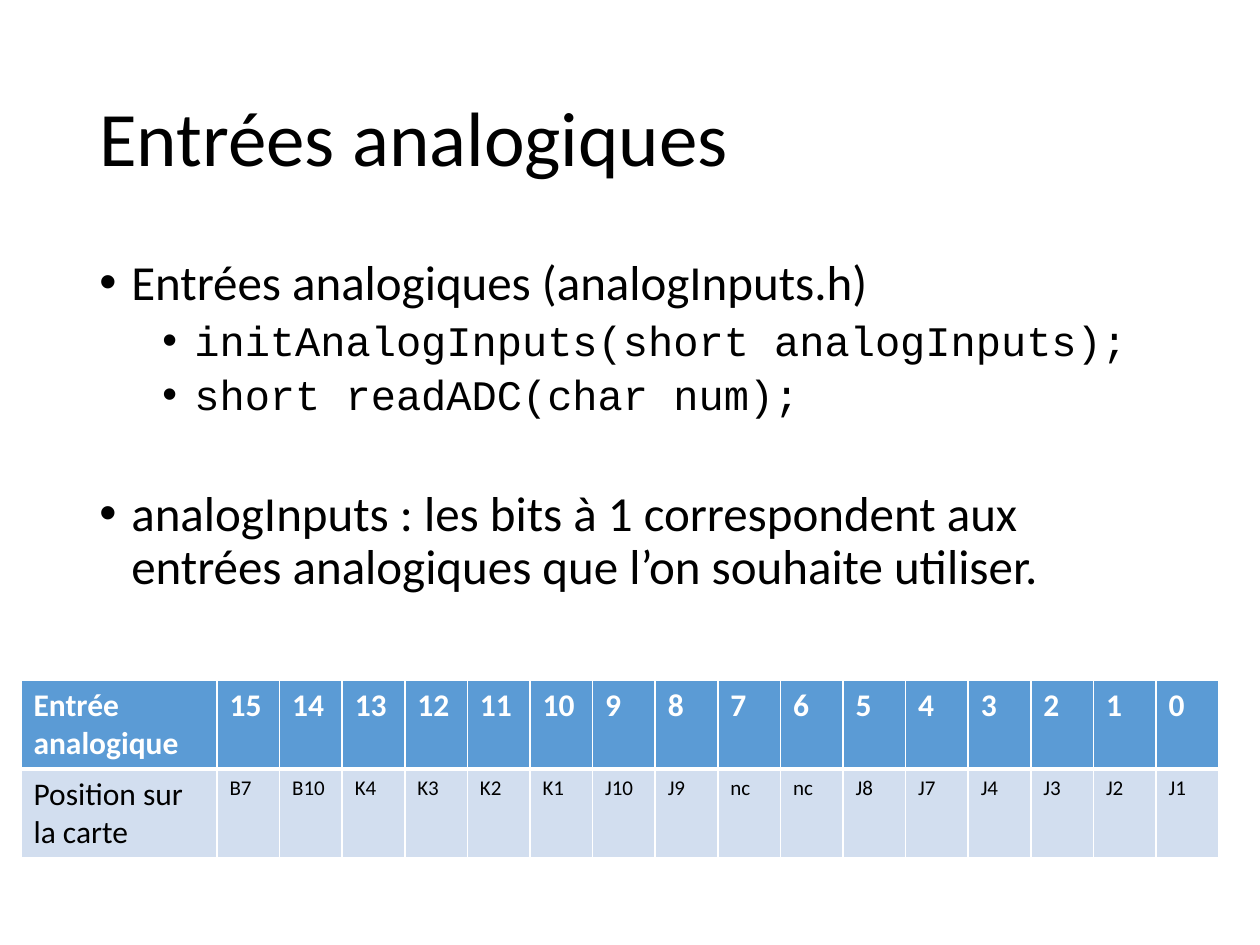
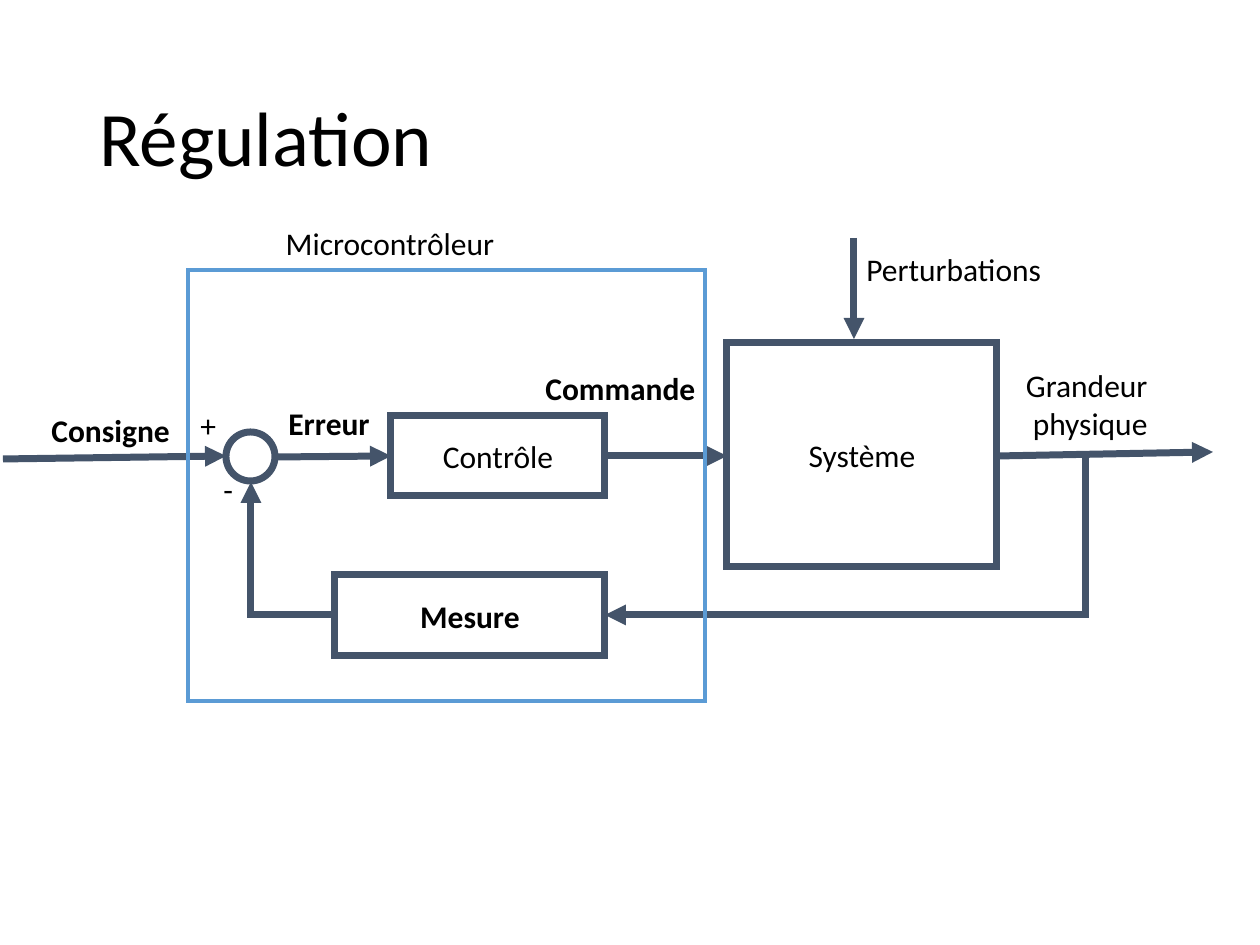
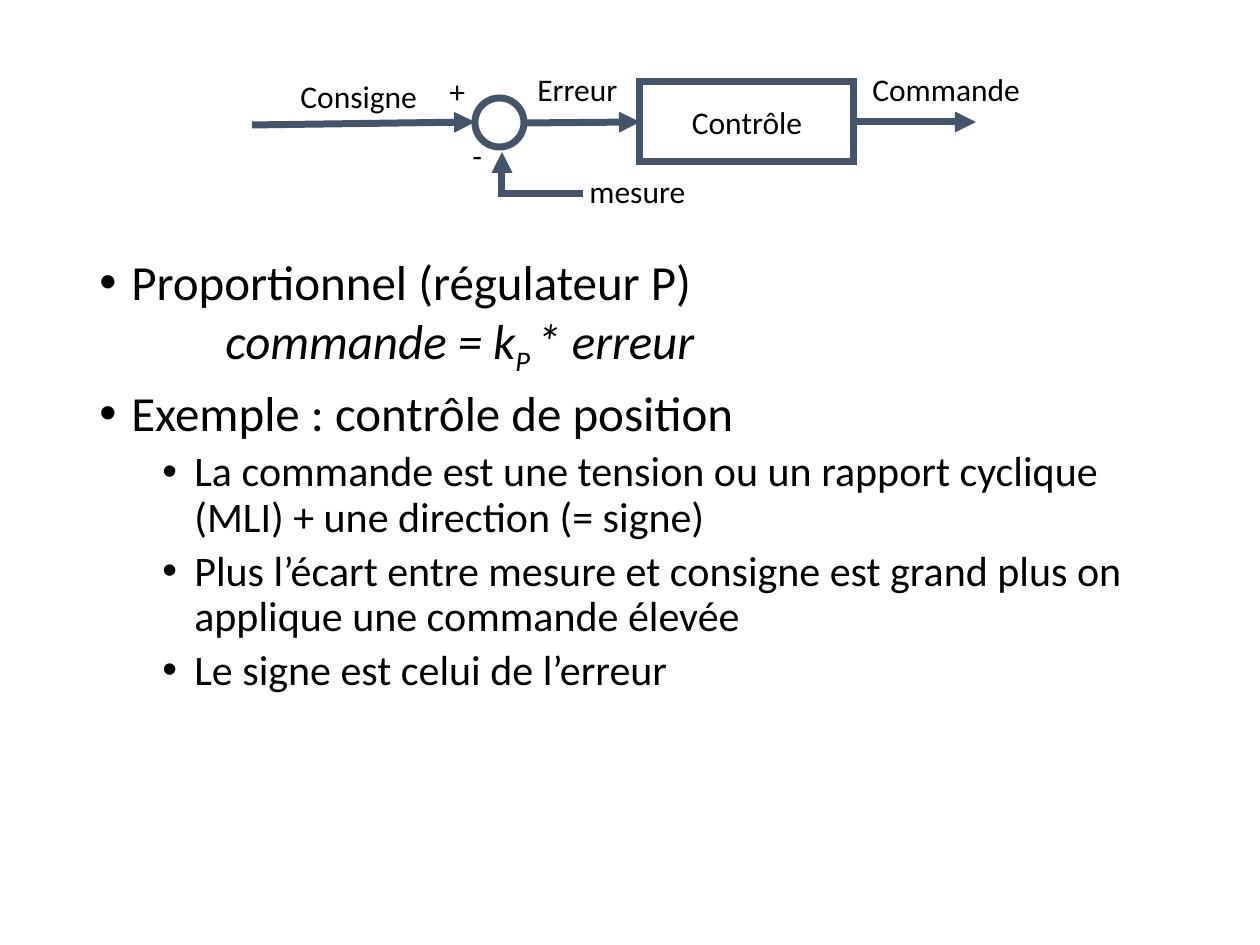
import pptx
import pptx.dml.color
import pptx.enum.shapes
import pptx.enum.text
import pptx.oxml
import pptx.oxml.ns
import pptx.util

EMU_PER_PX = 914400 / 126
BLACK, WHITE, SLATE, BLUE, PALE_BLUE = "000000", "FFFFFF", "44546A", "5B9BD5", "D2DEEF"
SANS, MONO = "Calibri", "Courier New"
TITLE_BOX = (87, 50, 1086, 183)
BODY_BOX = (87, 252, 1086, 600)
LABEL_HEIGHT = 50
TAB_WIDTH = 126
# Per outline level: hanging indent position, text size, space before
LEVELS = [(32, 28, 10), (95, 24, 5)]
BULLET_HANG = 32

ALIGN = pptx.enum.text.PP_ALIGN
ANCHOR = pptx.enum.text.MSO_ANCHOR
SHAPES = pptx.enum.shapes.MSO_SHAPE
CONNECTORS = pptx.enum.shapes.MSO_CONNECTOR


def px(length):
    return pptx.util.Emu(round(length * EMU_PER_PX))


def box_emu(box):
    return [px(length) for length in box]


def color(hex_string):
    return pptx.dml.color.RGBColor.from_string(hex_string)


def add_xml(parent, tag, **attributes):
    element = pptx.oxml.parse_xml(f"<a:{tag} {pptx.oxml.ns.nsdecls('a')}/>")
    for name, value in attributes.items():
        element.set(name, str(value))
    parent.append(element)
    return element


def style(paragraph, size, hex_string=BLACK, bold=False, name=SANS):
    font = paragraph.font
    font.name, font.size, font.bold = name, pptx.util.Pt(size), bold
    font.color.rgb = color(hex_string)


# Text parts
def add_title(slide, text):
    frame = slide.shapes.add_textbox(*box_emu(TITLE_BOX)).text_frame
    frame.word_wrap = True
    frame.vertical_anchor = ANCHOR.MIDDLE
    paragraph = frame.paragraphs[0]
    paragraph.text = text
    paragraph.line_spacing = 0.9
    style(paragraph, 44)


def add_label(slide, text, left, top, width, bold=False, align=ALIGN.LEFT, lines=1):
    box = (left, top, width, LABEL_HEIGHT + 40 * (lines - 1))
    frame = slide.shapes.add_textbox(*box_emu(box)).text_frame
    frame.word_wrap = False
    frame.auto_size = pptx.enum.text.MSO_AUTO_SIZE.SHAPE_TO_FIT_TEXT
    paragraph = frame.paragraphs[0]
    paragraph.text = text
    paragraph.alignment = align
    style(paragraph, 18, bold=bold)


def add_bullet(frame, text, level=0, name=SANS, space_before=None):
    first = frame.paragraphs[0]
    paragraph = frame.add_paragraph() if first.runs else first
    margin, size, default_space = LEVELS[level]
    paragraph.add_run().text = text
    paragraph.level = level
    paragraph.line_spacing = 0.9
    paragraph.space_before = pptx.util.Pt(space_before or default_space)
    properties = paragraph._p.get_or_add_pPr()
    properties.set("marL", str(px(margin)))
    properties.set("indent", str(-px(BULLET_HANG)))
    properties.set("defTabSz", str(px(TAB_WIDTH)))
    add_xml(properties, "buFont", typeface="Arial")
    add_xml(properties, "buChar", char="•")
    style(paragraph, size, name=name)
    return paragraph


def add_body(slide):
    frame = slide.shapes.add_textbox(*box_emu(BODY_BOX)).text_frame
    frame.word_wrap = True
    return frame


# Diagram parts
def draw_line(line, hex_string, width):
    line.color.rgb = color(hex_string)
    line.width = pptx.util.Pt(width)
    properties = line._get_or_add_ln()
    add_xml(properties, "miter", lim=800000)
    return properties


def add_block(slide, box, text="", bold=False, kind=SHAPES.RECTANGLE, line=SLATE, width=4):
    shape = slide.shapes.add_shape(kind, *box_emu(box))
    shape.shadow.inherit = False
    shape.fill.background()
    draw_line(shape.line, line, width)
    if text:
        frame = shape.text_frame
        frame.vertical_anchor = ANCHOR.MIDDLE
        paragraph = frame.paragraphs[0]
        paragraph.text = text
        paragraph.alignment = ALIGN.CENTER
        style(paragraph, 18, bold=bold)


def add_arrow(slide, start, end, bent=False, arrow_at="tailEnd"):
    """A bent arrow leaves its start horizontally and turns once."""
    kind = CONNECTORS.ELBOW if bent else CONNECTORS.STRAIGHT
    connector = slide.shapes.add_connector(kind, *box_emu(start + end))
    add_xml(draw_line(connector.line, SLATE, 4), arrow_at, type="triangle")
    properties = connector._element.spPr
    if bent:
        properties.find(pptx.oxml.ns.qn("a:prstGeom")).set("prst", "bentConnector2")
    add_xml(properties, "effectLst")


def add_control_chain(slide, left, top, command_label, bold=False):
    """Setpoint, comparator and controller; top is the top of the controller."""
    def at(x, y):
        return left + x, top + y

    add_arrow(slide, at(0, 44), at(223, 41))
    add_block(slide, (*at(223, 17), 49, 49), kind=SHAPES.OVAL)
    add_arrow(slide, at(272, 42), at(388, 41))
    add_block(slide, (*at(388, 0), 214, 81), "Contrôle")
    add_arrow(slide, at(602, 41), at(724, 41))
    add_label(slide, "Consigne", *at(36, -10), 144, bold)
    add_label(slide, "+", *at(185, -15), 42)
    add_label(slide, "-", *at(208, 49), 35)
    add_label(slide, "Erreur", *at(273, -17), 112, bold)
    add_label(slide, "Commande", *at(*command_label), 176, bold)


# Table of inputs
def add_borders(cell, bottom):
    properties = cell._tc.get_or_add_tcPr()
    widths = {"lnL": 1, "lnR": 1, "lnT": 1, "lnB": bottom}
    for index, (side, points) in enumerate(widths.items()):
        line = add_xml(properties, side, w=pptx.util.Pt(points))
        add_xml(add_xml(line, "solidFill"), "srgbClr", val=WHITE)
        properties.insert(index, line)


def add_input_table(slide, box, positions):
    inputs = [str(number) for number in reversed(range(len(positions)))]
    rows = [["Entrée analogique"] + inputs, ["Position sur la carte"] + positions]
    heading_width = 196
    table = slide.shapes.add_table(len(rows), len(rows[0]), *box_emu(box)).table
    input_width = (box[2] - heading_width) / len(positions)
    for index, column in enumerate(table.columns):
        column.width = px(input_width if index else heading_width)
    for row_index, row in enumerate(rows):
        is_header = row_index == 0
        for column_index, text in enumerate(row):
            cell = table.cell(row_index, column_index)
            cell.text = text
            cell.fill.solid()
            cell.fill.fore_color.rgb = color(BLUE if is_header else PALE_BLUE)
            size = 18 if is_header or column_index == 0 else 12
            style(cell.text_frame.paragraphs[0], size, WHITE if is_header else BLACK, is_header)
            add_borders(cell, 3 if is_header else 1)


# Slides
def build_inputs_slide(slide):
    add_title(slide, "Entrées analogiques")
    body = add_body(slide)
    add_bullet(body, "Entrées analogiques (analogInputs.h)")
    add_bullet(body, "initAnalogInputs(short analogInputs);", 1, MONO)
    add_bullet(body, "short readADC(char num);", 1, MONO)
    add_bullet(body, "analogInputs : les bits à 1 correspondent aux entrées analogiques "
                     "que l’on souhaite utiliser.", space_before=40)
    positions = "B7 B10 K4 K3 K2 K1 J10 J9 nc nc J8 J7 J4 J3 J2 J1".split()
    add_input_table(slide, (21, 680, 1198, 178), positions)


def build_regulation_slide(slide):
    add_title(slide, "Régulation")
    # System with its disturbance and output
    add_block(slide, (727, 343, 270, 224), "Système")
    add_arrow(slide, (854, 238), (854, 339))
    add_label(slide, "Perturbations", 854, 244, 202)
    add_arrow(slide, (997, 456), (1213, 452))
    add_label(slide, "Grandeur\vphysique", 1011, 360, 149, align=ALIGN.RIGHT, lines=2)
    # Measurement feedback
    add_block(slide, (335, 575, 270, 81), "Mesure", bold=True)
    add_arrow(slide, (605, 615), (1086, 453), bent=True, arrow_at="headEnd")
    add_arrow(slide, (335, 615), (251, 482), bent=True)
    # Microcontroller and the chain inside it
    add_control_chain(slide, 3, 415, command_label=(530, -52), bold=True)
    add_label(slide, "Microcontrôleur", 272, 218, 236, align=ALIGN.CENTER)
    add_block(slide, (188, 270, 517, 431), line=BLUE, width=2)


def build_proportional_slide(slide):
    add_control_chain(slide, 252, 81, command_label=(608, -17))
    add_arrow(slide, (583, 194), (502, 152), bent=True)
    add_label(slide, "mesure", 577, 166, 122)
    body = add_body(slide)
    formula = add_bullet(body, "Proportionnel (régulateur P)")
    formula.add_line_break()
    for text, baseline in [("\tcommande = k", 0), ("P ", -25000), ("* erreur", 0)]:
        run = formula.add_run()
        run.text = text
        run.font.italic = True
        if baseline:
            run._r.get_or_add_rPr().set("baseline", str(baseline))
    add_bullet(body, "Exemple : contrôle de position")
    for text in [
        "La commande est une tension ou un rapport cyclique (MLI) + une direction (= signe)",
        "Plus l’écart entre mesure et consigne est grand plus on applique une commande élevée",
        "Le signe est celui de l’erreur",
    ]:
        add_bullet(body, text, 1)


def main():
    presentation = pptx.Presentation()
    presentation.slide_width, presentation.slide_height = px(1260), px(945)
    blank_layout = presentation.slide_layouts[6]
    for build in (build_inputs_slide, build_regulation_slide, build_proportional_slide):
        build(presentation.slides.add_slide(blank_layout))
    presentation.save("out.pptx")


if __name__ == "__main__":
    main()
